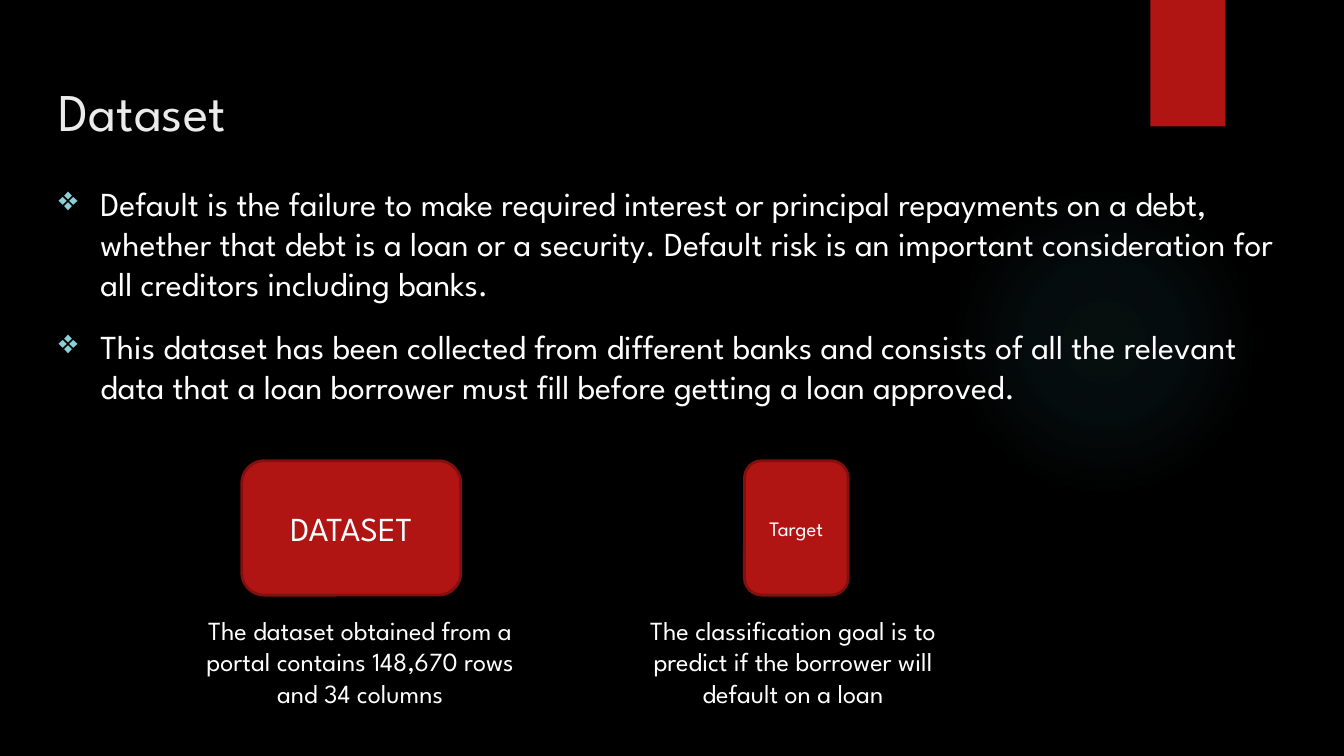
from lxml import etree
from pptx import Presentation
from pptx.dml.color import RGBColor
from pptx.enum.shapes import MSO_SHAPE
from pptx.enum.text import MSO_ANCHOR, PP_ALIGN
from pptx.oxml import parse_xml
from pptx.oxml.ns import qn
from pptx.util import Cm, Pt

ELLIPSE, RECTANGLE, ROUNDED = MSO_SHAPE.OVAL, MSO_SHAPE.RECTANGLE, MSO_SHAPE.ROUNDED_RECTANGLE
LEFT, CENTER = PP_ALIGN.LEFT, PP_ALIGN.CENTER
TOP, MIDDLE = MSO_ANCHOR.TOP, MSO_ANCHOR.MIDDLE

BLACK = RGBColor(0x00, 0x00, 0x00)
WHITE = RGBColor(0xFF, 0xFF, 0xFF)
PALE = RGBColor(0xEB, 0xEB, 0xEB)
RED = RGBColor(0xB0, 0x15, 0x13)
DARK_RED = RGBColor(0x82, 0x10, 0x0E)
TEAL = RGBColor(0x50, 0xB9, 0xC1)
AQUA = RGBColor(0x8A, 0xD0, 0xD6)
FONT = "League Spartan"
DRAWING = "http://schemas.openxmlformats.org/drawingml/2006/main"


def write(para, text, size=18, color=WHITE, align=LEFT, bullet=None):
    para.alignment = align
    if bullet:
        para.space_after = Pt(12)
        props = para._p.get_or_add_pPr()
        props.set("marL", str(Cm(0.79)))
        props.set("indent", str(-Cm(0.79)))
        bullet_color = etree.SubElement(props, qn("a:buClr"))
        etree.SubElement(bullet_color, qn("a:srgbClr"), val=str(AQUA))
        etree.SubElement(props, qn("a:buChar"), char=bullet)
    span = para.add_run()
    span.text = text
    span.font.name = FONT
    span.font.size = Pt(size)
    span.font.color.rgb = color


def add_frame(page, left, top, width, height, inset=0.13):
    box = page.shapes.add_textbox(Cm(left), Cm(top), Cm(width), Cm(height))
    frame = box.text_frame
    frame.word_wrap = True
    frame.vertical_anchor = TOP
    frame.margin_top = frame.margin_bottom = Cm(inset)
    return frame


deck = Presentation()
deck.slide_width, deck.slide_height = Cm(25.4), Cm(14.29)
page = deck.slides.add_slide(deck.slide_layouts[6])
page.background.fill.solid()
page.background.fill.fore_color.rgb = BLACK

# Soft radial glow
glow = page.shapes.add_shape(ELLIPSE, Cm(17.93), Cm(3.51), Cm(5.87), Cm(5.87))
glow.shadow.inherit = False
glow.line.fill.background()
stops = "".join(
    f'<a:gs pos="{position}000"><a:srgbClr val="{TEAL}"><a:alpha val="{alpha}000"/></a:srgbClr></a:gs>'
    for position, alpha in [(0, 7), (36, 6), (69, 0)])
glow_fill = parse_xml(
    f'<a:gradFill xmlns:a="{DRAWING}"><a:gsLst>{stops}</a:gsLst><a:path path="circle">'
    '<a:fillToRect l="50000" t="50000" r="50000" b="50000"/></a:path></a:gradFill>')
glow._element.spPr.find(qn("a:prstGeom")).addnext(glow_fill)

# Ribbon at the top edge
ribbon = page.shapes.add_shape(RECTANGLE, Cm(21.74), Cm(0), Cm(1.42), Cm(2.39))
ribbon.shadow.inherit = False
ribbon.fill.solid()
ribbon.fill.fore_color.rgb = RED
ribbon.line.fill.background()

# Title
title = add_frame(page, 0.86, 1.24, 23.67, 1.6, inset=0.25)
write(title.paragraphs[0], "Dataset", size=28.4, color=PALE)

# Bulleted explanation
body = add_frame(page, 0.86, 3.2, 23.67, 9.5, inset=0.25)
points = [
    "Default is the failure to make required interest or principal repayments on a debt, "
    "whether that debt is a loan or a security. Default risk is an important consideration "
    "for all creditors including banks.",
    "This dataset has been collected from different banks and consists of all the relevant "
    "data that a loan borrower must fill before getting a loan approved.",
]
for index, point in enumerate(points):
    para = body.add_paragraph() if index else body.paragraphs[0]
    write(para, point, bullet="❖")

# Red cards with their captions: left, width, label, size, then the caption's left, width, height, text
cards = [
    (4.57, 4.14, "DATASET", 18, 3.33, 6.96, 2.06,
     "The dataset obtained from a portal contains 148,670 rows and 34 columns"),
    (14.07, 1.96, "Target", 11, 11.94, 6.1, 2.64,
     "The classification goal is to predict if the borrower will default on a loan"),
]
for left, width, label, size, caption_left, caption_width, caption_height, text in cards:
    card = page.shapes.add_shape(ROUNDED, Cm(left), Cm(8.71), Cm(width), Cm(2.54))
    card.shadow.inherit = False
    card.fill.solid()
    card.fill.fore_color.rgb = RED
    card.line.color.rgb = DARK_RED
    card.line.width = Pt(1.5)
    card.text_frame.vertical_anchor = MIDDLE
    write(card.text_frame.paragraphs[0], label, size=size, align=CENTER)
    caption = add_frame(page, caption_left, 11.48, caption_width, caption_height)
    write(caption.paragraphs[0], text, size=14, align=CENTER)

deck.save("out.pptx")
